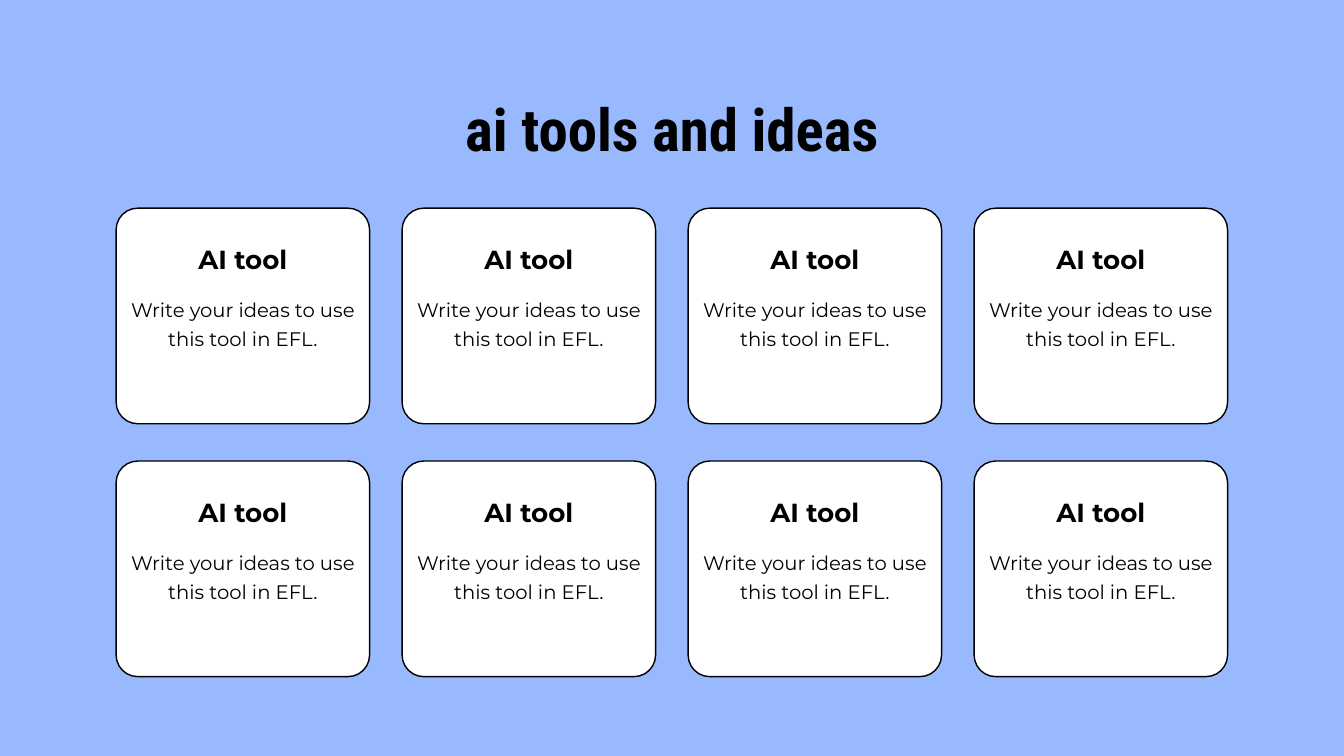
"""Build the slide of AI tool cards for EFL ideas."""
from dataclasses import dataclass

from pptx import Presentation
from pptx import util as u
from pptx.dml.color import RGBColor
from pptx.enum import shapes, text

TITLE = "ai tools and ideas"
CARDS = [
    [("AI tool", "Write your ideas to use this tool in EFL.")] * 4,
    [("AI tool", "Write your ideas to use this tool in EFL.")] * 4,
]


@dataclass(frozen=True)
class Theme:
    """Hold the colours and type styles."""

    sky: RGBColor = RGBColor(0x99, 0xB9, 0xFF)
    card: RGBColor = RGBColor(0xFF, 0xFF, 0xFF)
    ink: RGBColor = RGBColor(0, 0, 0)
    title: tuple = ("Roboto Condensed", 63.1, True, 63.8)
    tool: tuple = ("Montserrat", 28, True, 36.4)
    idea: tuple = ("Montserrat", 21, False, 31.5)


THEME = Theme()
SLIDE_SIZE = (50.8, 28.58)
TITLE_AREA = (12.93, 3.94, 24.94, 2.41)
CARD_WIDTH, CARD_HEIGHT = 9.58, 8.15
GRID_LEFT, GRID_TOP = 4.39, 7.87
COLUMN_STEP, ROW_STEP = 10.81, 9.56
CARD_INSET = 0.55
TOOL_DROP, TOOL_HEIGHT = 1.24, 1.22
IDEA_DROP, IDEA_HEIGHT = 3.17, 2.16


def apply(target, values):
    """Set each named attribute on the target."""
    for name, value in values.items():
        setattr(target, name, value)


def write(slide, wording, area, style):
    """Add one centred line of wording in a theme style."""
    family, size, bold, spacing = style
    frame = slide.shapes.add_textbox(*map(u.Cm, area)).text_frame
    apply(frame, {
        "word_wrap": True,
        "margin_left": 0, "margin_right": 0,
        "margin_top": 0, "margin_bottom": 0,
    })
    line = frame.paragraphs[0]
    apply(line, {
        "text": wording,
        "alignment": text.PP_ALIGN.CENTER,
        "line_spacing": u.Pt(spacing),
    })
    font = line.runs[0].font
    apply(font, {"name": family, "size": u.Pt(size), "bold": bold})
    font.color.rgb = THEME.ink


def draw_card(slide, left, top, tool, idea):
    """Draw a rounded card with its tool and idea."""
    card = slide.shapes.add_shape(
        shapes.MSO_SHAPE.ROUNDED_RECTANGLE,
        *map(u.Cm, (left, top, CARD_WIDTH, CARD_HEIGHT)))
    card.adjustments[0] = 0.1
    card.shadow.inherit = False
    card.fill.solid()
    card.fill.fore_color.rgb = THEME.card
    card.line.color.rgb = THEME.ink
    card.line.width = u.Pt(1.5)
    inner_left, inner_width = left + CARD_INSET, CARD_WIDTH - 2 * CARD_INSET
    for wording, drop, height, style in (
        (tool, TOOL_DROP, TOOL_HEIGHT, THEME.tool),
        (idea, IDEA_DROP, IDEA_HEIGHT, THEME.idea),
    ):
        write(slide, wording, (inner_left, top + drop, inner_width, height), style)


def main():
    """Assemble and save the presentation."""
    deck = Presentation()
    deck.slide_width, deck.slide_height = map(u.Cm, SLIDE_SIZE)
    slide = deck.slides.add_slide(deck.slide_layouts[6])
    slide.background.fill.solid()
    slide.background.fill.fore_color.rgb = THEME.sky
    for row, cards in enumerate(CARDS):
        for column, (tool, idea) in enumerate(cards):
            draw_card(slide, GRID_LEFT + column * COLUMN_STEP,
                      GRID_TOP + row * ROW_STEP, tool, idea)
    write(slide, TITLE, TITLE_AREA, THEME.title)
    deck.save("out.pptx")


if __name__ == "__main__":
    main()
